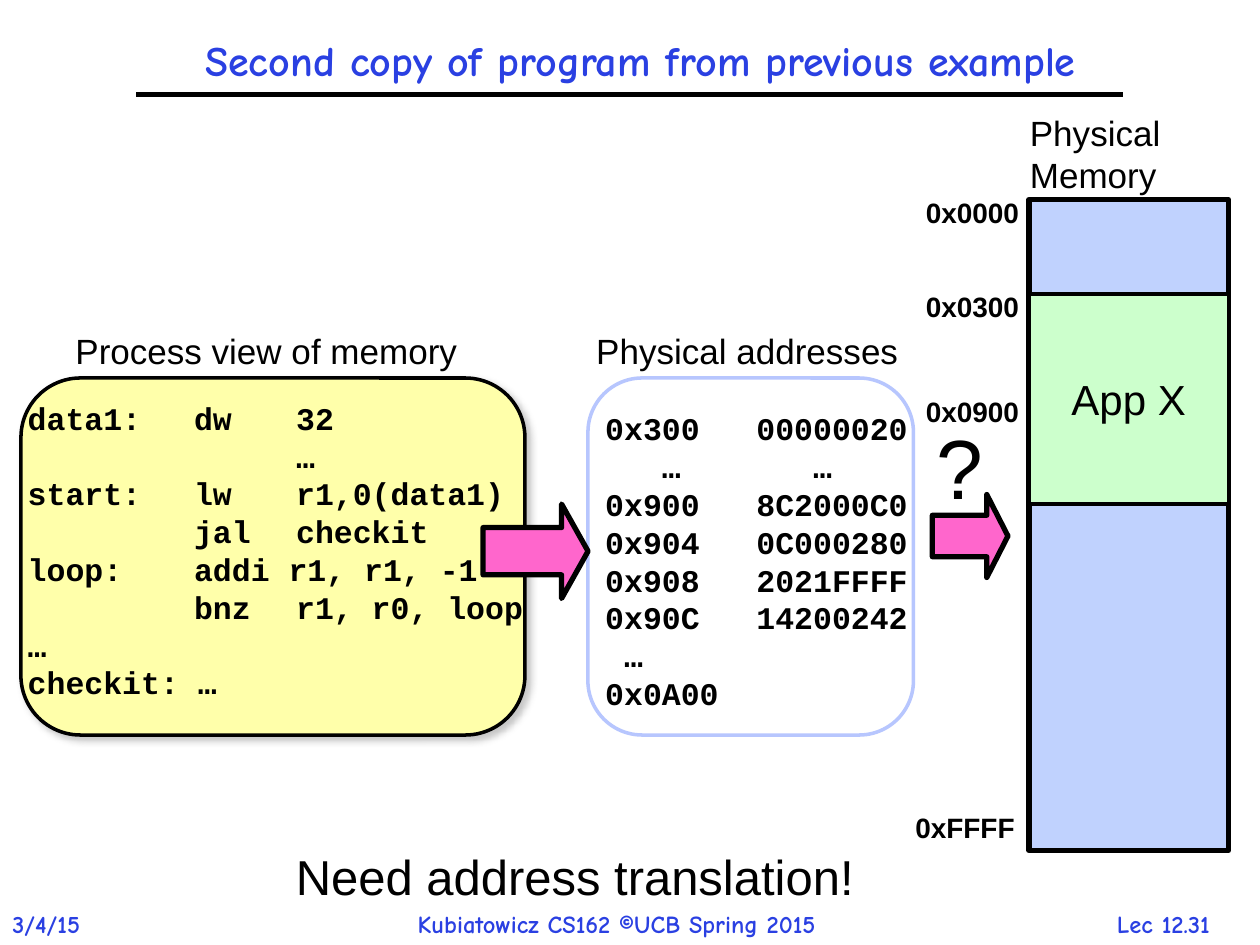
from dataclasses import dataclass

from lxml import etree
from pptx import Presentation
from pptx import util as u
from pptx.dml.color import RGBColor
from pptx.enum import shapes, text
from pptx.oxml.ns import qn

KIND = shapes.MSO_SHAPE
CENTER = text.PP_ALIGN.CENTER


@dataclass(frozen=True)
class Theme:
    ink: str = "000000"
    accent: str = "2A40E2"
    paper: str = "FFFFFF"
    memory: str = "C0D2FE"
    app: str = "CCFFCC"
    process: str = "FFFFAA"
    address_edge: str = "B7C6FE"
    arrow: str = "FF66CC"
    shadow: str = "808080"
    sans: str = "Arial"
    comic: str = "Comic Neue"
    mono: str = "Courier New"
    footer: int = 14
    label: int = 16
    code: int = 18
    caption: int = 20
    heading: int = 24
    message: int = 28
    question: int = 48


THEME = Theme()


def rgb(value):
    return RGBColor.from_string(value)


def child(parent, tag, **attributes):
    return etree.SubElement(parent, qn(tag), {k: str(v) for k, v in attributes.items()})


def write(frame, content, *, size, font=THEME.sans, color=THEME.ink, bold=False,
          align=None, spacing=None, tabs=()):
    """Fill a text frame, one paragraph a line; tabs are in inches."""
    for index, line in enumerate(content.split("\n")):
        paragraph = frame.paragraphs[0] if index == 0 else frame.add_paragraph()
        if tabs:
            stops = child(paragraph._p.get_or_add_pPr(), "a:tabLst")
            for tab in tabs:
                child(stops, "a:tab", pos=int(u.Inches(tab)), algn="l")
        paragraph.alignment = align
        if spacing:
            paragraph.line_spacing = spacing
        run = paragraph.add_run()
        run.text = line
        run.font.size = u.Pt(size)
        run.font.name = font
        run.font.bold = bold
        run.font.color.rgb = rgb(color)


class Canvas:
    """Draws on one slide; lengths are cells of a 120 by 90 grid."""
    COLUMNS, ROWS = 120, 90

    def __init__(self, deck):
        self.slide = deck.slides.add_slide(deck.slide_layouts[6])
        self.cell_width = deck.slide_width / self.COLUMNS
        self.cell_height = deck.slide_height / self.ROWS

    def cells(self, *lengths):
        """Turn alternating columns and rows into slide lengths."""
        units = (self.cell_width, self.cell_height)
        return [round(n * units[i % 2]) for i, n in enumerate(lengths)]

    def text(self, area, content, wrap=False, inset=0.1, middle=False, **style):
        frame = self.slide.shapes.add_textbox(*self.cells(*area)).text_frame
        frame.word_wrap = wrap
        frame.margin_left = u.Inches(inset)
        if middle:
            frame.vertical_anchor = text.MSO_ANCHOR.MIDDLE
        write(frame, content, **style)

    def code(self, area, content, tabs):
        self.text(area, content, wrap=True, inset=0.22, size=THEME.code,
                  font=THEME.mono, bold=True, tabs=tabs)

    def shape(self, kind, area, fill, edge=THEME.ink, weight=2, adjust=()):
        shape = self.slide.shapes.add_shape(kind, *self.cells(*area))
        shape.shadow.inherit = False
        shape.fill.solid()
        shape.fill.fore_color.rgb = rgb(fill)
        shape.line.color.rgb = rgb(edge)
        shape.line.width = u.Pt(weight)
        for index, value in enumerate(adjust):
            shape.adjustments[index] = value
        return shape

    def arrow(self, area):
        self.shape(KIND.RIGHT_ARROW, area, THEME.arrow, weight=3, adjust=(0.5, 0.28))

    def rule(self, start, end):
        line = self.slide.shapes.add_connector(
            shapes.MSO_CONNECTOR.STRAIGHT, *self.cells(*start, *end))
        line.line.color.rgb = rgb(THEME.ink)
        line.line.width = u.Pt(3)
        child(line._element.spPr, "a:effectLst")

    def cast_shadow(self, shape):
        effects = shape._element.spPr.find(qn("a:effectLst"))
        shadow = child(effects, "a:outerShdw", blurRad=int(u.Pt(4)), dist=int(u.Pt(3)),
                       dir=45 * 60000, algn="tl", rotWithShape=0)
        color = child(shadow, "a:srgbClr", val=THEME.shadow)
        child(color, "a:alpha", val=43000)


PROGRAM = """data1:\tdw\t32
\t\t…
start:\tlw\tr1,0(data1)
\tjal\tcheckit
loop:\taddi r1, r1, -1
\tbnz\tr1, r0, loop
…
checkit: …"""

MACHINE_WORDS = """0x300\t00000020
   …\t   …
0x900\t8C2000C0
0x904\t0C000280
0x908\t2021FFFF
0x90C\t14200242
 …
0x0A00"""


def main():
    deck = Presentation()
    deck.slide_width, deck.slide_height = u.Inches(10), u.Inches(7.5)
    canvas = Canvas(deck)

    branded = dict(font=THEME.comic, color=THEME.accent, bold=True)
    footers = (
        (102.8, 16, "Lec 12.31", CENTER),
        (0, 10.6, "3/4/15", None),
        (38.6, 46.4, "Kubiatowicz CS162 ©UCB Spring 2015", None),
    )
    for left, width, footer, align in footers:
        canvas.text((left, 86, width, 4), footer, size=THEME.footer,
                    align=align, **branded)
    canvas.rule((13, 9), (107, 9))
    canvas.text((9, 0, 104, 12), "Second copy of program from previous example",
                wrap=True, middle=True, size=THEME.heading, align=CENTER,
                spacing=0.9, **branded)

    canvas.shape(KIND.ROUNDED_RECTANGLE, (56, 36, 31, 34), THEME.paper,
                 THEME.address_edge)
    process = canvas.shape(KIND.ROUNDED_RECTANGLE, (2, 36, 48, 34), THEME.process)
    canvas.cast_shadow(process)
    canvas.code((55, 38.4, 33, 30.2), MACHINE_WORDS, tabs=(1.2,))
    canvas.arrow((46, 48, 10, 9))
    canvas.code((0, 37.4, 52, 30.2), PROGRAM, tabs=(1.32, 2.13))

    captions = (
        ((6, 30.8, 39.2, 5.3), "Process view of memory"),
        ((55.6, 30.8, 31.4, 5.3), "Physical addresses"),
        ((96.9, 10, 15, 9.2), "Physical\nMemory"),
    )
    for area, caption in captions:
        canvas.text(area, caption, size=THEME.caption)

    canvas.shape(KIND.RECTANGLE, (98, 19, 19, 62), THEME.memory, weight=3)
    app = canvas.shape(KIND.RECTANGLE, (98, 28, 19, 20), THEME.app)
    write(app.text_frame, "App X", size=THEME.heading, align=CENTER)

    addresses = ((87, 18, "0x0000"), (87, 27, "0x0300"),
                 (87, 37, "0x0900"), (86, 76.6, "0xFFFF"))
    for left, top, address in addresses:
        canvas.text((left, top, 12.5, 4.4), address, size=THEME.label, bold=True)

    canvas.arrow((88.8, 47.1, 7.2, 7.9))
    canvas.text((88, 39, 7, 10.9), "?", size=THEME.question)
    canvas.text((27, 80, 56.2, 6.8), "Need address translation!", size=THEME.message)

    deck.save("out.pptx")


if __name__ == "__main__":
    main()
